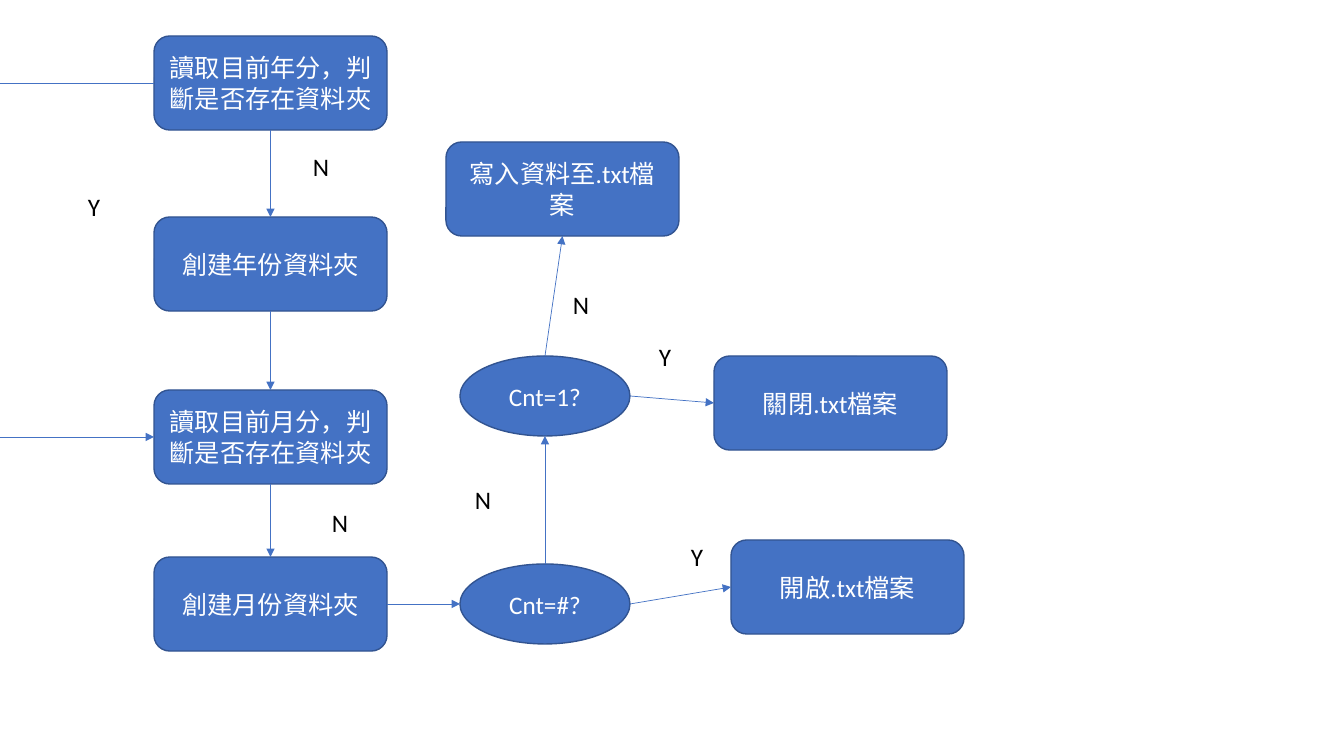
import dataclasses
import typing

import lxml.etree
import pptx
import pptx.dml.color
import pptx.enum.shapes
import pptx.enum.text
import pptx.oxml
import pptx.oxml.ns
import pptx.util

SHAPE = pptx.enum.shapes.MSO_SHAPE
EMU_PER_PIXEL = 914400 / 100.8
SLIDE_SIZE = (1344, 756)


@dataclasses.dataclass(frozen=True)
class Theme:
    font: str = "Calibri"
    size: float = 18
    fill: str = "4472C4"
    outline: str = "325491"
    node_text: str = "FFFFFF"
    label_text: str = "000000"
    outline_width: float = 1
    arrow_width: float = 0.5


@dataclasses.dataclass(frozen=True)
class Node:
    text: str
    left: int
    top: int
    width: int = 233
    height: int = 94
    preset: typing.Any = SHAPE.ROUNDED_RECTANGLE

    def site(self, side: str) -> tuple[float, float]:
        across, down = {"top": (0.5, 0), "left": (0, 0.5),
                        "bottom": (0.5, 1), "right": (1, 0.5)}[side]
        return self.left + across * self.width, self.top + down * self.height

    def site_index(self, side: str) -> int:
        step = 2 if self.preset == SHAPE.OVAL else 1  # ellipses have eight sites
        return step * ("top", "left", "bottom", "right").index(side)


@dataclasses.dataclass(frozen=True)
class Label:
    text: str
    left: int
    top: int


@dataclasses.dataclass(frozen=True)
class Flow:
    source: str
    source_side: str
    target: str
    target_side: str


THEME = Theme()


def px(length: float) -> pptx.util.Emu:
    return pptx.util.Emu(round(length * EMU_PER_PIXEL))


def rgb(value: str) -> pptx.dml.color.RGBColor:
    return pptx.dml.color.RGBColor.from_string(value)


def write(frame, text: str, color: str) -> None:
    paragraph = frame.paragraphs[0]
    paragraph.text = text
    paragraph.font.name = THEME.font
    paragraph.font.size = pptx.util.Pt(THEME.size)
    paragraph.font.color.rgb = rgb(color)


def draw_node(slide, node: Node):
    shape = slide.shapes.add_shape(
        node.preset, px(node.left), px(node.top), px(node.width), px(node.height))
    shape.shadow.inherit = False
    shape.fill.solid()
    shape.fill.fore_color.rgb = rgb(THEME.fill)
    shape.line.color.rgb = rgb(THEME.outline)
    shape.line.width = pptx.util.Pt(THEME.outline_width)
    shape.text_frame.word_wrap = True
    shape.text_frame.vertical_anchor = pptx.enum.text.MSO_ANCHOR.MIDDLE
    write(shape.text_frame, node.text, THEME.node_text)
    shape.text_frame.paragraphs[0].alignment = pptx.enum.text.PP_ALIGN.CENTER
    return shape


def draw_label(slide, label: Label) -> None:
    width = {"N": 36, "Y": 32}[label.text]
    box = slide.shapes.add_textbox(px(label.left), px(label.top), px(width), px(40))
    box.text_frame.word_wrap = False
    box.text_frame.auto_size = pptx.enum.text.MSO_AUTO_SIZE.SHAPE_TO_FIT_TEXT
    write(box.text_frame, label.text, THEME.label_text)


def draw_line(slide, start: tuple[float, float], end: tuple[float, float],
              arrow: bool = True):
    line = slide.shapes.add_connector(
        pptx.enum.shapes.MSO_CONNECTOR.STRAIGHT, *map(px, start + end))
    line.line.color.rgb = rgb(THEME.fill)
    line.line.width = pptx.util.Pt(THEME.arrow_width)
    if arrow:
        lxml.etree.SubElement(line.line._get_or_add_ln(),
                              pptx.oxml.ns.qn("a:tailEnd"), type="triangle")
    lxml.etree.SubElement(line._element.spPr, pptx.oxml.ns.qn("a:effectLst"))
    return line


def glue(line, tag: str, shape, site_index: int) -> None:
    ends = line._element.find(".//" + pptx.oxml.ns.qn("p:cNvCxnSpPr"))
    lxml.etree.SubElement(ends, pptx.oxml.ns.qn(tag),
                          id=str(shape.shape_id), idx=str(site_index))


# Steps and decisions
COLUMN = 154
DECISION = dict(left=460, width=170, height=80, preset=SHAPE.OVAL)
NODES = {
    "read_year": Node("讀取目前年分，判斷是否存在資料夾", COLUMN, 36),
    "create_year": Node("創建年份資料夾", COLUMN, 217),
    "read_month": Node("讀取目前月分，判斷是否存在資料夾", COLUMN, 390),
    "create_month": Node("創建月份資料夾", COLUMN, 557),
    "count_is_hash": Node("Cnt=#?", top=564, **DECISION),
    "count_is_one": Node("Cnt=1?", top=356, **DECISION),
    "open_file": Node("開啟.txt檔案", 731, 540),
    "close_file": Node("關閉.txt檔案", 714, 356),
    "write_data": Node("寫入資料至.txt檔案", 446, 142),
}

FLOWS = [
    Flow("read_year", "bottom", "create_year", "top"),
    Flow("create_year", "bottom", "read_month", "top"),
    Flow("read_month", "bottom", "create_month", "top"),
    Flow("create_month", "right", "count_is_hash", "left"),
    Flow("count_is_hash", "right", "open_file", "left"),
    Flow("count_is_hash", "top", "count_is_one", "bottom"),
    Flow("count_is_one", "right", "close_file", "left"),
    Flow("count_is_one", "top", "write_data", "bottom"),
]

# Answers beside the branches
LABELS = [
    Label("N", 303, 146), Label("Y", 78, 186), Label("N", 322, 502),
    Label("N", 465, 479), Label("Y", 681, 536),
    Label("N", 563, 284), Label("Y", 649, 336),
]

presentation = pptx.Presentation()
presentation.slide_width, presentation.slide_height = map(px, SLIDE_SIZE)
flowchart = presentation.slides.add_slide(presentation.slide_layouts[6])

steps = {key: draw_node(flowchart, node) for key, node in NODES.items()}

for flow in FLOWS:
    source, target = NODES[flow.source], NODES[flow.target]
    arrow = draw_line(flowchart, source.site(flow.source_side),
                      target.site(flow.target_side))
    glue(arrow, "a:stCxn", steps[flow.source], source.site_index(flow.source_side))
    glue(arrow, "a:endCxn", steps[flow.target], target.site_index(flow.target_side))

# Branch that skips creating the year folder, running by way of the left edge
leave, enter = NODES["read_year"].site("left"), NODES["read_month"].site("left")
draw_line(flowchart, leave, (0, leave[1]), arrow=False)
draw_line(flowchart, (0, enter[1]), enter)

for answer in LABELS:
    draw_label(flowchart, answer)

presentation.save("out.pptx")
